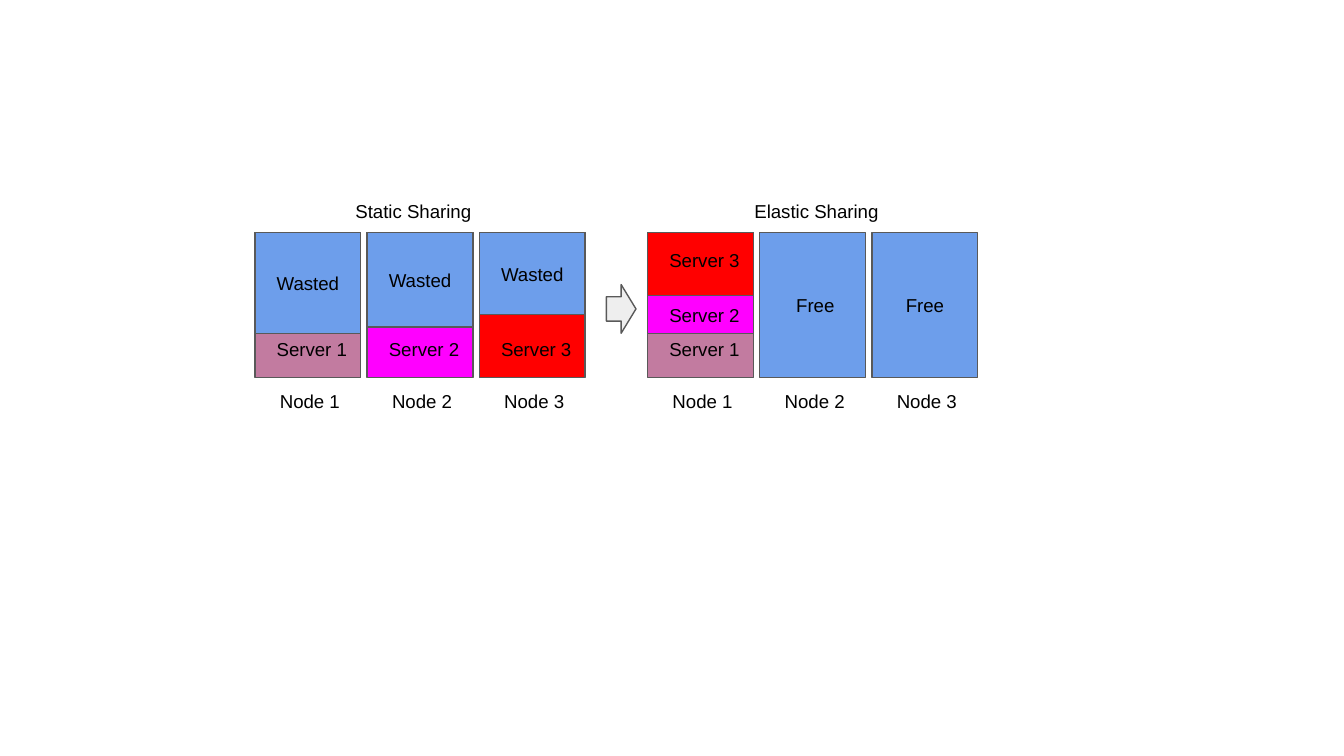
from dataclasses import dataclass

from pptx import Presentation
from pptx.dml.color import RGBColor
from pptx.enum.shapes import MSO_SHAPE
from pptx.enum.text import MSO_ANCHOR, PP_ALIGN
from pptx.util import Cm, Pt

RECTANGLE = MSO_SHAPE.RECTANGLE
RIGHT_ARROW = MSO_SHAPE.RIGHT_ARROW
TOP, MIDDLE = MSO_ANCHOR.TOP, MSO_ANCHOR.MIDDLE
LEFT, CENTER = PP_ALIGN.LEFT, PP_ALIGN.CENTER


@dataclass(frozen=True)
class Theme:
    font: str = "Arial"
    size: float = 10
    text: str = "000000"
    outline: str = "595959"
    outline_width: float = 0.75
    spare: str = "6D9EEB"
    arrow: str = "EEEEEE"
    servers: tuple = ("C27BA0", "FF00FF", "FF0000")


THEME = Theme()
NODE_TOP, NODE_WIDTH, NODE_HEIGHT, NODE_PITCH = 4.4, 2.0, 2.74, 2.12
STATIC_LEFT, ELASTIC_LEFT = 4.82, 12.24
SERVER_LABEL_TOP = 6.17


def write(frame, text, align=CENTER, anchor=TOP):
    frame.word_wrap = True
    frame.vertical_anchor = anchor
    frame.margin_left = frame.margin_right = Cm(0.25)
    frame.margin_top = frame.margin_bottom = Cm(0.25)
    paragraph = frame.paragraphs[0]
    paragraph.alignment = align
    run = paragraph.add_run()
    run.text = text
    run.font.name = THEME.font
    run.font.size = Pt(THEME.size)
    run.font.color.rgb = RGBColor.from_string(THEME.text)


def add_block(slide, left, top, width, height, fill, text="", kind=RECTANGLE):
    block = slide.shapes.add_shape(kind, Cm(left), Cm(top), Cm(width), Cm(height))
    block.shadow.inherit = False
    block.fill.solid()
    block.fill.fore_color.rgb = RGBColor.from_string(fill)
    block.line.color.rgb = RGBColor.from_string(THEME.outline)
    block.line.width = Pt(THEME.outline_width)
    if text:
        write(block.text_frame, text, anchor=MIDDLE)


def add_label(slide, left, top, width, height, text, align=LEFT):
    label = slide.shapes.add_textbox(Cm(left), Cm(top), Cm(width), Cm(height))
    write(label.text_frame, text, align=align)


def add_node_block(slide, left, height, fill, text="", top=NODE_TOP):
    add_block(slide, left, top, NODE_WIDTH, height, fill, text)


def add_server_label(slide, node_left, top, number):
    add_label(slide, node_left + 0.16, top, NODE_WIDTH, 0.74, f"Server {number}")


def add_captions(slide, group_left, heading, heading_left):
    add_label(slide, heading_left, 3.56, 4.7, 0.58, heading, align=CENTER)
    for index in range(3):
        node_left = group_left + index * NODE_PITCH
        add_label(slide, node_left + 0.22, 7.16, 1.7, 0.58, f"Node {index + 1}")


def add_static_sharing(slide):
    wasted_heights = (1.9, 1.78, 1.55)
    for index, (wasted, color) in enumerate(zip(wasted_heights, THEME.servers)):
        left = STATIC_LEFT + index * NODE_PITCH
        add_node_block(slide, left, NODE_HEIGHT, color)
        add_node_block(slide, left, wasted, THEME.spare, "Wasted")
        add_server_label(slide, left, SERVER_LABEL_TOP, index + 1)
    add_captions(slide, STATIC_LEFT, "Static Sharing", 5.46)


def add_elastic_sharing(slide):
    stack = (
        (NODE_TOP, NODE_HEIGHT, SERVER_LABEL_TOP),
        (5.38, 0.92, 5.54),
        (NODE_TOP, 1.19, 4.5),
    )
    for number, ((top, height, label_top), color) in enumerate(zip(stack, THEME.servers), 1):
        add_node_block(slide, ELASTIC_LEFT, height, color, top=top)
        add_server_label(slide, ELASTIC_LEFT, label_top, number)
    for index, text in enumerate((" Free", "Free"), 1):
        add_node_block(slide, ELASTIC_LEFT + index * NODE_PITCH, NODE_HEIGHT, THEME.spare, text)
    add_captions(slide, ELASTIC_LEFT, "Elastic Sharing", 13.08)


def main():
    deck = Presentation()
    deck.slide_width, deck.slide_height = Cm(25.4), Cm(14.29)
    slide = deck.slides.add_slide(deck.slide_layouts[6])
    add_static_sharing(slide)
    add_elastic_sharing(slide)
    add_block(slide, 11.46, 5.38, 0.56, 0.92, THEME.arrow, kind=RIGHT_ARROW)
    deck.save("out.pptx")


main()
